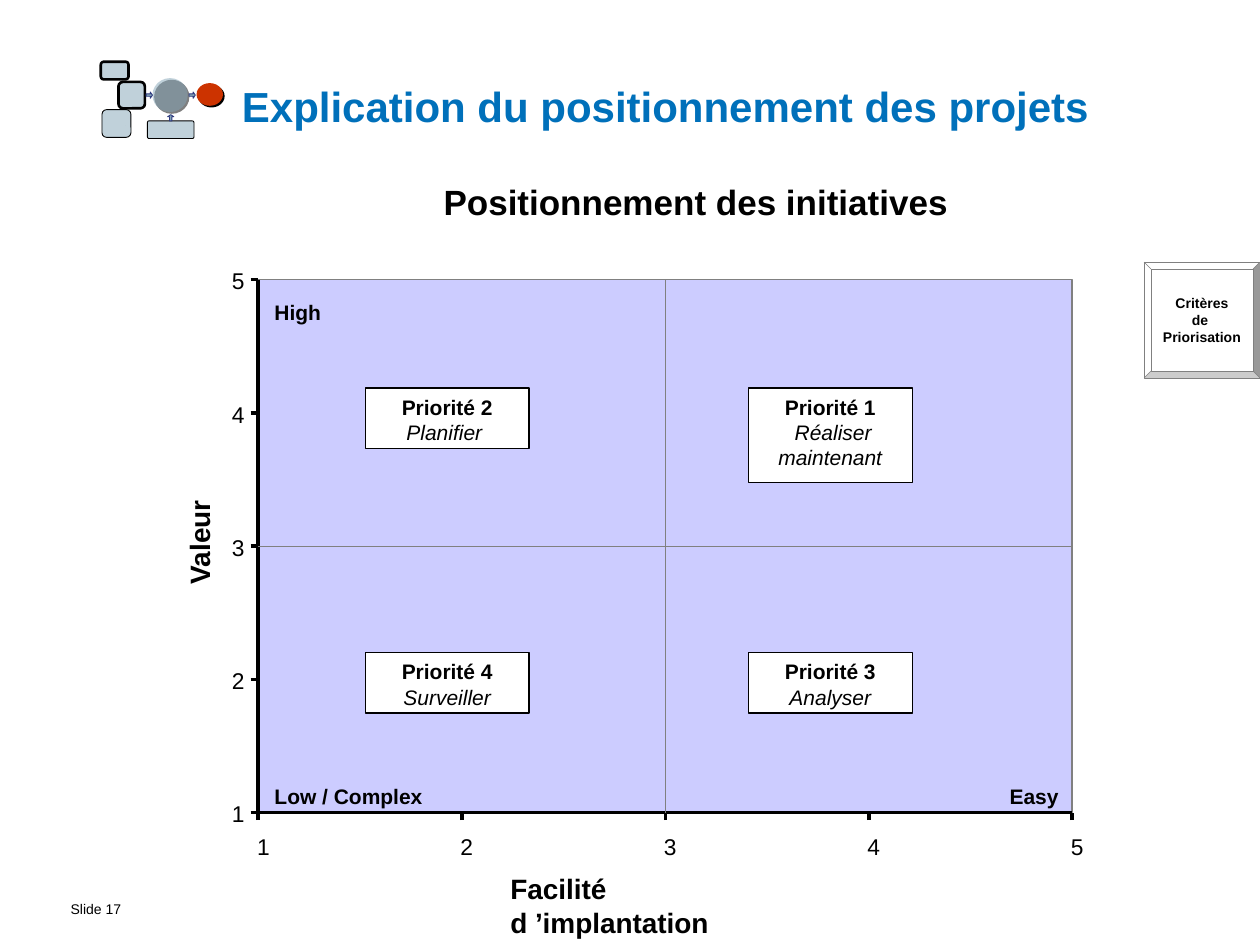
import copy
import dataclasses

import pptx
import pptx.dml.color
import pptx.enum.shapes
import pptx.enum.text
import pptx.oxml
import pptx.oxml.ns
import pptx.util
from pptx.util import Inches

SHAPE = pptx.enum.shapes.MSO_SHAPE
ALIGN = pptx.enum.text.PP_ALIGN
ANCHOR = pptx.enum.text.MSO_ANCHOR
AUTO_SIZE = pptx.enum.text.MSO_AUTO_SIZE
NAMESPACE = pptx.oxml.ns.nsdecls("a")


@dataclasses.dataclass(frozen=True)
class Theme:
    """Colours, type sizes and font of the slide."""
    font: str = "Arial"
    black: str = "000000"
    white: str = "FFFFFF"
    blue: str = "0070BA"
    plot: str = "CCCCFF"
    grey: str = "808080"
    steel: str = "83A4B6"
    navy: str = "2F3A7F"
    red: str = "CC3300"
    title: float = 24
    heading: float = 20
    axis_title: float = 16
    tick: float = 13
    label: float = 12
    small: float = 8


class SlideBuilder:
    """Holds the theme and the slide, and adds elements to it."""

    def __init__(self, theme, slide):
        """Keep the theme and the current slide."""
        self.theme = theme
        self.slide = slide

    def apply(self, target, formats):
        """Set attributes of a target from a dict."""
        for name, value in formats.items():
            setattr(target, name, value)

    def paint(self, shape, fill=None, line=None, width=0.5, alpha=None, shadow=False):
        """Set the fill, outline, transparency and shadow of a shape."""
        shape.shadow.inherit = False
        if fill:
            shape.fill.solid()
            shape.fill.fore_color.rgb = pptx.dml.color.RGBColor.from_string(fill)
        else:
            shape.fill.background()
        if line:
            shape.line.color.rgb = pptx.dml.color.RGBColor.from_string(line)
            shape.line.width = pptx.util.Pt(width)
        else:
            shape.line.fill.background()
        properties = shape._element.spPr
        if alpha:
            color = properties.find(pptx.oxml.ns.qn("a:solidFill"))[0]
            color.append(pptx.oxml.parse_xml(f'<a:alpha {NAMESPACE} val="{alpha * 1000}"/>'))
        if shadow:
            properties.find(pptx.oxml.ns.qn("a:effectLst")).append(pptx.oxml.parse_xml(
                f'<a:outerShdw {NAMESPACE} dist="17780" dir="2700000">'
                f'<a:srgbClr val="{self.theme.black}"/></a:outerShdw>'))

    def shape(self, kind, box, adjustments=(), **style):
        """Add a preset shape."""
        shape = self.slide.shapes.add_shape(kind, *map(Inches, box))
        for index, value in enumerate(adjustments):
            shape.adjustments[index] = value
        self.paint(shape, **style)
        return shape

    def polygon(self, points, **style):
        """Add a closed outline through points in inches."""
        builder = self.slide.shapes.build_freeform(*points[0], scale=Inches(1))
        builder.add_line_segments(points[1:])
        self.paint(builder.convert_to_shape(), **style)

    def line(self, start, end, color=None, width=0):
        """Add a straight line."""
        connector = self.slide.shapes.add_connector(
            pptx.enum.shapes.MSO_CONNECTOR.STRAIGHT, *map(Inches, (*start, *end)))
        connector.line.color.rgb = pptx.dml.color.RGBColor.from_string(color or self.theme.black)
        connector.line.width = pptx.util.Pt(width)
        connector._element.spPr.append(pptx.oxml.parse_xml(f"<a:effectLst {NAMESPACE}/>"))

    def fill_text(self, shape, paragraphs, size, color=None, insets=(0.1, 0.05, 0.1, 0.05),
                  frame=None, layout=None):
        """Fill a shape; each paragraph is a list of (text, font formats) lines."""
        text_frame = shape.text_frame
        sides = ("margin_left", "margin_top", "margin_right", "margin_bottom")
        self.apply(text_frame, {"word_wrap": True, "vertical_anchor": ANCHOR.TOP,
                                **dict(zip(sides, map(Inches, insets))), **(frame or {})})
        for index, lines in enumerate(paragraphs):
            paragraph = text_frame.add_paragraph() if index else text_frame.paragraphs[0]
            self.apply(paragraph, {"alignment": ALIGN.LEFT, **(layout or {})})
            for position, (text, formats) in enumerate(lines):
                if position:
                    paragraph.add_line_break()
                    paragraph._p[-1].append(copy.deepcopy(run._r.rPr))
                run = paragraph.add_run()
                run.text = text
                self.apply(run.font, {"name": self.theme.font, "size": pptx.util.Pt(size),
                                      **formats})
                run.font.color.rgb = pptx.dml.color.RGBColor.from_string(
                    color or self.theme.black)

    def text(self, box, text, size, bold=True, **options):
        """Add a text box with one line of text."""
        shape = self.slide.shapes.add_textbox(*map(Inches, box))
        self.fill_text(shape, [[(text, {"bold": bold})]], size, **options)
        return shape

    def tight_text(self, box, text, size, bold=True, insets=(0, 0, 0, 0), **options):
        """Add a text box that fits one unwrapped line."""
        frame = {"word_wrap": False, "auto_size": AUTO_SIZE.SHAPE_TO_FIT_TEXT}
        return self.text(box, text, size, bold, insets=insets, frame=frame, **options)


def draw_flow_icon(builder):
    """Draw the small process diagram beside the title."""
    theme = builder.theme
    glass = {"fill": theme.steel, "alpha": 50}
    for box, corner, width in (((0.8, 0.49, 0.22, 0.14), 0.167, 1.5),
                               ((1.17, 0.96, 0.37, 0.14), 0.1, 0.5),
                               ((0.94, 0.65, 0.21, 0.21), 0.167, 1.5),
                               ((0.81, 0.87, 0.23, 0.22), 0.167, 0.5)):
        builder.shape(SHAPE.ROUNDED_RECTANGLE, box, [corner],
                      line=theme.black, width=width, **glass)
    builder.shape(SHAPE.OVAL, (1.21, 0.62, 0.28, 0.27), shadow=True, **glass)
    builder.shape(SHAPE.OVAL, (1.56, 0.66, 0.21, 0.18), fill=theme.red, shadow=True)
    arrow = {"fill": theme.steel, "line": theme.navy}
    for kind, left, top in ((SHAPE.RIGHT_ARROW, 1.5, 0.73), (SHAPE.RIGHT_ARROW, 1.16, 0.73),
                            (SHAPE.UP_ARROW, 1.33, 0.91)):
        builder.shape(kind, (left, top, 0.05, 0.05), [0.38, 0.34], **arrow)
    bend = [(0.94, 0.06), (0.92, 0.09), (0.92, 0.07), (0.9, 0.07), (0.87, 0.06), (0.85, 0.03),
            (0.85, 0), (0.87, 0), (0.87, 0.03), (0.88, 0.05), (0.9, 0.05), (0.92, 0.05),
            (0.92, 0.03)]
    for origin, direction in ((0.87, -1), (0.65, 1)):
        builder.polygon([(x, origin + direction * y) for x, y in bend], **arrow)


def draw_axes(builder, left, top, width, height):
    """Draw the plot area, both scales and the quadrant lines."""
    theme = builder.theme
    right, bottom = left + width, top + height
    box = (left, top, width, height)
    builder.shape(SHAPE.RECTANGLE, box, fill=theme.plot)
    builder.shape(SHAPE.RECTANGLE, box, line=theme.grey, width=0.88)
    builder.line((left, top), (left, bottom))
    builder.line((left, bottom), (right, bottom))
    for step in range(5):
        x, y = left + step * width / 4, bottom - step * height / 4
        builder.line((left - 0.06, y), (left, y))
        builder.line((x, bottom + 0.06), (x, bottom))
        for label_left, label_top in ((left - 0.21, y - 0.1), (x - 0.01, bottom + 0.16)):
            builder.tight_text((label_left, label_top, 0.1, 0.22), str(step + 1),
                               theme.tick, bold=False)
    middle_x, middle_y = left + width / 2, top + height / 2
    builder.line((left, middle_y), (right, middle_y), theme.grey, 0.25)
    builder.line((middle_x, bottom), (middle_x, top), theme.grey, 0.25)


def draw_priorities(builder):
    """Draw the four priority boxes and the corner labels."""
    theme = builder.theme
    for left, top, height, name, action in ((5.94, 3.08, 0.75, "Priorité 1", " Réaliser maintenant"),
                                            (2.9, 3.08, 0.48, "Priorité 2", "Planifier "),
                                            (5.94, 5.18, 0.48, "Priorité 3", "Analyser"),
                                            (2.9, 5.18, 0.48, "Priorité 4", "Surveiller")):
        card = builder.shape(SHAPE.RECTANGLE, (left, top, 1.3, height),
                             fill=theme.white, line=theme.black, width=0.75)
        builder.fill_text(card, [[(name, {"bold": True}), (action, {"italic": True})]],
                          theme.label, layout={"alignment": ALIGN.CENTER})
    for left, top, label, alignment in ((2.08, 6.17, "Low / Complex", ALIGN.LEFT),
                                        (2.08, 2.33, "High", ALIGN.LEFT),
                                        (7.08, 6.17, "Easy", ALIGN.RIGHT)):
        builder.text((left, top, 1.42, 0.3), label, theme.label,
                     layout={"alignment": alignment, "space_before": pptx.util.Pt(7.5)})


def main():
    """Build the slide and save it."""
    presentation = pptx.Presentation()
    presentation.slide_width, presentation.slide_height = Inches(10), Inches(7.5)
    theme = Theme()
    builder = SlideBuilder(theme, presentation.slides.add_slide(presentation.slide_layouts[6]))
    builder.tight_text((0.56, 7.12, 0.89, 0.22), "Slide 17", theme.small, bold=False,
                       insets=(0, 0.05, 0.1, 0.05),
                       layout={"line_spacing": 0.85, "space_before": pptx.util.Pt(5)})
    builder.text((1.92, 0.52, 7.42, 0.64), "Explication du positionnement des projets",
                 theme.title, color=theme.blue, insets=(0, 0, 0, 0),
                 frame={"vertical_anchor": ANCHOR.MIDDLE})
    draw_flow_icon(builder)
    draw_axes(builder, 2.05, 2.22, 6.46, 4.23)
    builder.tight_text((3.52, 1.43, 4.01, 0.33), "Positionnement des initiatives", theme.heading)
    builder.tight_text((4.05, 6.92, 2.4, 0.27), "Facilité d\u00a0’implantation", theme.axis_title)
    builder.tight_text((1.24, 4.16, 0.68, 0.27), "Valeur", theme.axis_title).rotation = 270
    draw_priorities(builder)
    button = builder.shape(SHAPE.BEVEL, (9.08, 2.08, 0.92, 0.92), [0.06],
                           fill=theme.white, line=theme.grey, width=0.25)
    builder.fill_text(button,
                      [[(word, {"bold": True})] for word in ("Critères", "de ", "Priorisation")],
                      theme.small, frame={"word_wrap": False, "vertical_anchor": ANCHOR.MIDDLE},
                      layout={"alignment": ALIGN.CENTER})
    presentation.save("out.pptx")


main()
